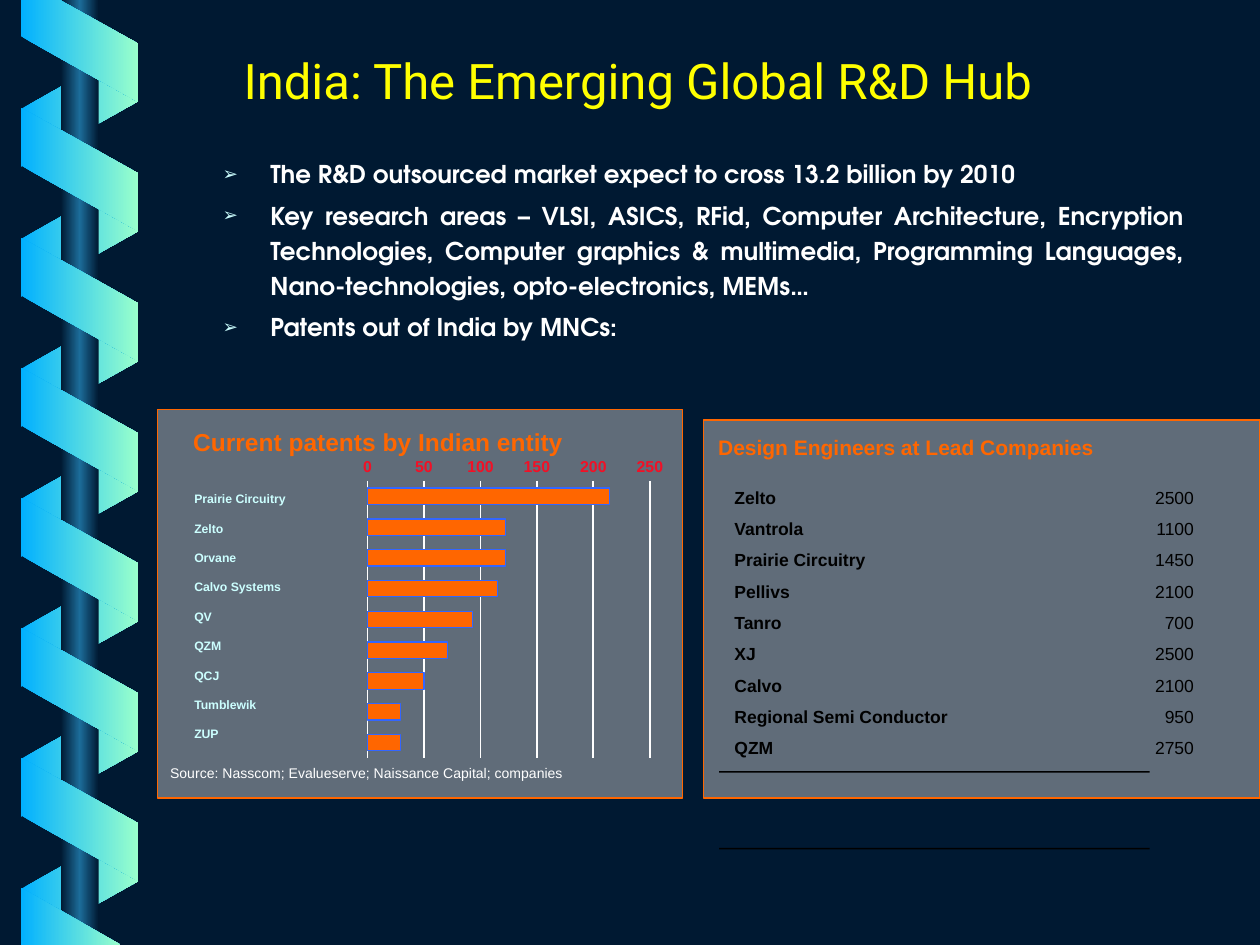
from copy import deepcopy

from lxml.etree import SubElement
from pptx import Presentation
from pptx.chart.data import CategoryChartData
from pptx.dml.color import RGBColor
from pptx.enum.chart import XL_CHART_TYPE as ChartType, XL_TICK_LABEL_POSITION as TickLabels
from pptx.enum.chart import XL_TICK_MARK as TickMark
from pptx.enum.shapes import MSO_SHAPE as Shape
from pptx.enum.text import MSO_ANCHOR as Anchor, PP_ALIGN as Align
from pptx.oxml import parse_xml
from pptx.oxml.ns import nsdecls, qn
from pptx.util import Inches, Pt

NAVY, BLUE, MINT, ORANGE, WHITE = "001932", "01B0FF", "99FFCC", "FF6600", "FFFFFF"
PALE, BLACK, RED = "CCFFFF", "000000", "F21026"

# The slide is a grid of 120 columns by 90 rows of square cells
CELL = Inches(10) / 120


def color(hex_string):
    return RGBColor.from_string(hex_string)


def cells(*counts):
    return [round(count * CELL) for count in counts]


def style(font, size, hex_string, bold=False, name="Arial"):
    font.size, font.bold, font.name = Pt(size), bold, name
    font.color.rgb = color(hex_string)


def add_text(place, text, size, hex_string, bold=False, name="Arial", anchor=Anchor.TOP,
             align=Align.LEFT, bullet=None, line=None, before=0):
    """Write each line of text as a paragraph in a box placed in cells."""
    frame = page.shapes.add_textbox(*cells(*place)).text_frame
    frame.word_wrap, frame.vertical_anchor = True, anchor
    frame.margin_left = frame.margin_right = frame.margin_top = frame.margin_bottom = 0
    frame.text = text
    for index, para in enumerate(frame.paragraphs):
        if bullet:
            props = para._p.get_or_add_pPr()
            props.set("marL", str(Inches(0.38)))
            props.set("indent", str(-Inches(0.38)))
            SubElement(SubElement(props, qn("a:buClr")), qn("a:srgbClr"), val=PALE)
            SubElement(props, qn("a:buSzPct"), val="75000")
            SubElement(props, qn("a:buFont"), typeface="Arial")
            SubElement(props, qn("a:buChar"), char=bullet)
        para.alignment, para.line_spacing = align, line
        para.space_before = Pt(before if index else 0)
        for span in para.runs:
            style(span.font, size, hex_string, bold, name)


def fill_gradient(shape, *stops):
    """Fill from left to right with evenly spaced colours and no outline."""
    shape.shadow.inherit = False
    shape.line.fill.background()
    shape.fill.gradient()
    shape.fill.gradient_angle = 0
    stop_list = shape._element.spPr.find(".//" + qn("a:gsLst"))
    for _ in stops[2:]:
        stop_list.append(deepcopy(stop_list[0]))
    for index, (stop, hex_string) in enumerate(zip(shape.fill.gradient_stops, stops)):
        stop.color.rgb = color(hex_string)
        stop.position = index / (len(stops) - 1)


def add_ribbon(*points):
    """Draw a ribbon through points in cells, kept to hundredths of a cell."""
    fine = [(round(x * 100), round(y * 100)) for x, y in points]
    outline = page.shapes.build_freeform(*fine[0], scale=CELL / 100)
    outline.add_line_segments(fine[1:])
    fill_gradient(outline.convert_to_shape(), BLUE, MINT)


def add_block(place, hex_string, line=None, alpha=None):
    block = page.shapes.add_shape(Shape.RECTANGLE, *cells(*place))
    block.shadow.inherit = False
    block.fill.solid()
    block.fill.fore_color.rgb = color(hex_string)
    if alpha:
        tone = block._element.spPr.find(".//" + qn("a:srgbClr"))
        SubElement(tone, qn("a:alpha"), val=str(alpha * 1000))
    if line:
        block.line.color.rgb, block.line.width = color(line), Pt(0.75)
    else:
        block.line.fill.background()


deck = Presentation()
deck.slide_width, deck.slide_height = cells(120, 90)
page = deck.slides.add_slide(deck.slide_layouts[6])
page.background.fill.solid()
page.background.fill.fore_color.rgb = color(NAVY)

# Helix: rising ribbons, the pole, then falling ribbons in front
LEFT, RIGHT, PITCH, EDGE, SLOPE = 2, 13.14, 12.38, 5.5, 6.25
for turn in range(7):
    high = 4.15 + turn * PITCH
    low = high + SLOPE
    add_ribbon((LEFT, low), (RIGHT, high), (RIGHT, high + EDGE), (LEFT, low + EDGE))
pole = page.shapes.add_shape(Shape.RECTANGLE, *cells(5.8, 0, 3.6, 90))
fill_gradient(pole, NAVY, "1C6D9A", NAVY)
for turn in range(6):
    high = 10.25 + turn * PITCH
    low = high + SLOPE
    add_ribbon((LEFT, high), (RIGHT, low), (RIGHT, low + EDGE), (LEFT, high + EDGE))
add_ribbon((LEFT, 0), (5.7, 0), (RIGHT, 4.15), (RIGHT, 9.7), (LEFT, 3.45))
add_ribbon((LEFT, 84.55), (11.5, 90), (LEFT, 90))

add_text((23.2, 4.1, 84.6, 6.3), "India: The Emerging Global R&D Hub", 28, "FFFF00",
         name="Roboto", anchor=Anchor.BOTTOM)
add_text((21.2, 14.6, 91.6, 21),
         "The R&D outsourced market expect to cross 13.2 billion by 2010\n"
         "Key research areas – VLSI, ASICS, RFid, Computer Architecture, Encryption "
         "Technologies, Computer graphics & multimedia, Programming Languages, "
         "Nano-technologies, opto-electronics, MEMs…\n"
         "Patents out of India by MNCs:",
         14, WHITE, bold=True, name="TeX Gyre Adventor", align=Align.JUSTIFY,
         bullet="➢", line=1.2, before=3.5)

# Engineers panel
engineers = [("Zelto", 2500), ("Vantrola", 1100), ("Prairie Circuitry", 1450),
             ("Pellivs", 2100), ("Tanro", 700), ("XJ", 2500), ("Calvo", 2100),
             ("Regional Semi Conductor", 950), ("QZM", 2750)]
add_block((67, 40, 53, 36), "C0C0C0", line=ORANGE, alpha=50)
add_text((68.4, 41.4, 48, 2.4), "Design Engineers at Lead Companies", 12, ORANGE, bold=True)
table = page.shapes.add_table(len(engineers), 2, *cells(69.95, 45.95, 43.75, 26.9)).table
table.first_row = table.horz_banding = False
table.columns[0].width, table.columns[1].width = cells(38, 5.75)
for row, entry in enumerate(engineers):
    for column, value in enumerate(entry):
        cell = table.cell(row, column)
        cell.fill.background()
        cell.margin_left = cell.margin_right = cell.margin_top = cell.margin_bottom = 0
        cell.vertical_anchor = Anchor.MIDDLE
        for index, side in enumerate("LRTB"):
            border = parse_xml(f'<a:ln{side} {nsdecls("a")} w="0"><a:noFill/></a:ln{side}>')
            cell._tc.get_or_add_tcPr().insert(index, border)
        cell.text = str(value)
        para = cell.text_frame.paragraphs[0]
        para.alignment = Align.RIGHT if column else Align.LEFT
        style(para.runs[0].font, 10, BLACK, bold=column == 0)
for top in (73.45, 80.75):
    add_block((68.5, top, 41, 0.15), BLACK)

# Patents panel
patents = {"Prairie Circuitry": 214, "Zelto": 122, "Orvane": 122, "Calvo Systems": 115,
           "QV": 93, "QZM": 71, "QCJ": 50, "Tumblewik": 29, "ZUP": 29}
add_block((15, 39, 50, 37), "C0C0C0", line=ORANGE, alpha=50)
add_text((18.4, 40.7, 44, 2.8), "Current patents by Indian entity", 14, ORANGE, bold=True)
add_text((18.5, 45.4, 14, 25.2), "\n".join(patents), 7, PALE, bold=True, line=Pt(16.8))

data = CategoryChartData()
data.categories = list(patents)
data.add_series("Patents", list(patents.values()))
chart = page.shapes.add_chart(ChartType.BAR_CLUSTERED, *cells(33, 43, 31, 30), data).chart
chart.has_legend = chart.has_title = False
style(chart.font, 9, RED, bold=True)

companies, scale = chart.category_axis, chart.value_axis
companies.reverse_order = True
companies.tick_label_position = TickLabels.NONE
companies.format.line.color.rgb, companies.format.line.width = color(WHITE), Pt(1)
scale.minimum_scale, scale.maximum_scale, scale.major_unit = 0, 250, 50
scale.has_major_gridlines = True
grid_line = scale.major_gridlines.format.line
grid_line.color.rgb, grid_line.width = color(WHITE), Pt(1)
scale.format.line.fill.background()
companies.major_tick_mark = scale.major_tick_mark = TickMark.NONE

plot = chart.plots[0]
plot.gap_width, plot.vary_by_categories = 88, False
bars = plot.series[0].format
bars.fill.solid()
bars.fill.fore_color.rgb = color(ORANGE)
bars.line.color.rgb, bars.line.width = color("3366FF"), Pt(0.75)

plot_area = chart._chartSpace.find(".//" + qn("c:plotArea"))
for layout in plot_area.findall(qn("c:layout")):
    plot_area.remove(layout)
plot_area.insert(0, parse_xml(
    f'<c:layout {nsdecls("c")}><c:manualLayout><c:layoutTarget val="inner"/>'
    '<c:xMode val="edge"/><c:yMode val="edge"/>'
    f'<c:x val="{2 / 31}"/><c:y val="{2.8 / 30}"/>'
    f'<c:w val="{26.9 / 31}"/><c:h val="{26.4 / 30}"/></c:manualLayout></c:layout>'))

add_text((16.2, 72.8, 46, 1.6), "Source: Nasscom; Evalueserve; Naissance Capital; companies",
         8, WHITE)

deck.save("out.pptx")
